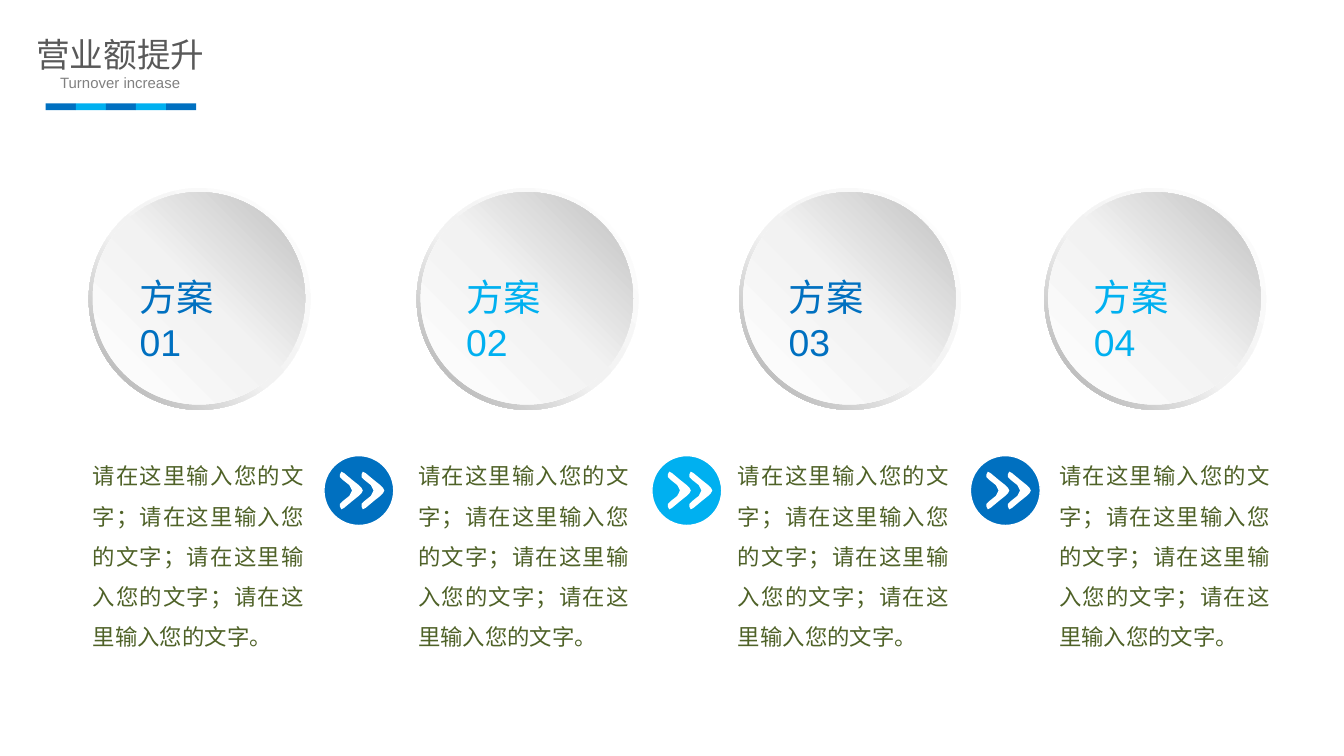
from copy import deepcopy

from pptx import Presentation
from pptx.dml.color import RGBColor
from pptx.enum.shapes import MSO_SHAPE
from pptx.enum.text import MSO_ANCHOR, MSO_AUTO_SIZE, PP_ALIGN
from pptx.oxml.ns import qn
from pptx.util import Inches, Pt

OVAL, RING, RECT = MSO_SHAPE.OVAL, MSO_SHAPE.DONUT, MSO_SHAPE.RECTANGLE
TOP, NO_FIT = MSO_ANCHOR.TOP, MSO_AUTO_SIZE.NONE
LEFT, CENTER, JUSTIFY = PP_ALIGN.LEFT, PP_ALIGN.CENTER, PP_ALIGN.JUSTIFY

BLUE = RGBColor(0x00, 0x70, 0xC0)
SKY = RGBColor(0x00, 0xB0, 0xF0)
OLIVE = RGBColor(0x4F, 0x62, 0x28)
DARK = RGBColor(0x59, 0x59, 0x59)
GRAY = RGBColor(0x80, 0x80, 0x80)
WHITE = RGBColor(0xFF, 0xFF, 0xFF)
PALE = RGBColor(0xF2, 0xF2, 0xF2)
SILVER = RGBColor(0xBF, 0xBF, 0xBF)
STEEL = RGBColor(0xA6, 0xA6, 0xA6)

# Widescreen slide, 16 to 9
prs = Presentation()
prs.slide_width, prs.slide_height = Inches(10), Inches(10 * 9 / 16)
slide = prs.slides.add_slide(prs.slide_layouts[5])
shapes = slide.shapes


def write(box, text, size, color, align, pads, wrap=True, space=1.0):
    """Fill a text shape; pads are the left, top, right and bottom insets."""
    frame = box.text_frame
    frame.text = text
    look = {"word_wrap": wrap, "auto_size": NO_FIT, "vertical_anchor": TOP}
    sides = ("margin_left", "margin_top", "margin_right", "margin_bottom")
    look.update(zip(sides, map(Inches, pads)))
    for key, value in look.items():
        setattr(frame, key, value)
    para = frame.paragraphs[0]
    para.alignment, para.line_spacing = align, space
    for key, value in {"name": "Arial", "size": Pt(size)}.items():
        setattr(para.font, key, value)
    para.font.color.rgb = color


def paint(shape, fill, angle=0):
    """Fill with one colour, or with three (position, colour) stops."""
    shape.shadow.inherit = False
    shape.line.fill.background()
    if isinstance(fill, RGBColor):
        shape.fill.solid()
        shape.fill.fore_color.rgb = fill
        return
    shape.fill.gradient()
    shape.fill.gradient_angle = angle
    stops = shape._element.spPr.find(".//" + qn("a:gsLst"))
    stops.insert(1, deepcopy(stops[0]))
    for stop, (place, color) in zip(shape.fill.gradient_stops, fill):
        stop.position, stop.color.rgb = place, color


# Heading
title = shapes.title
title.left, title.top = Inches(0.19), Inches(0.21)
title.width, title.height = Inches(1.41), Inches(0.38)
write(title, "营业额提升", 18, DARK, CENTER, (0.07, 0.04, 0.07, 0.04), wrap=False)
box = shapes.add_textbox(Inches(-0.07), Inches(0.5), Inches(1.93), Inches(0.24))
write(box, "Turnover increase", 8, GRAY, CENTER, (0.1, 0.05, 0.1, 0.05))

# Stripe under the heading
STEP = 1.12 / 5
for i in range(5):
    bar = shapes.add_shape(RECT, Inches(0.34 + STEP * i), Inches(0.77),
                           Inches(STEP), Inches(0.05))
    paint(bar, (BLUE, SKY)[i % 2])

# Four plans: disc with label, and text below
NOTE = "；".join(["请在这里输入您的文字"] * 4) + "。"
PLANS = [(0.66, 0.94, 0.62), (3.1, 3.37, 3.04), (5.5, 5.77, 5.42), (7.77, 8.04, 7.81)]
for i, (x, label_x, note_x) in enumerate(PLANS):
    ring = shapes.add_shape(RING, Inches(x), Inches(1.4), Inches(1.65), Inches(1.65))
    ring.adjustments[0] = 0.05
    paint(ring, [(0, WHITE), (0.55, PALE), (1, STEEL)], angle=225)
    disc = shapes.add_shape(OVAL, Inches(x + 0.03), Inches(1.43),
                            Inches(1.58), Inches(1.58))
    paint(disc, [(0, WHITE), (0.51, PALE), (1, SILVER)], angle=45)
    # The wide right inset drops the number to the second line
    box = shapes.add_textbox(Inches(label_x), Inches(1.99), Inches(1.09), Inches(0.44))
    write(box, f"方案{i + 1:02}", 20, (BLUE, SKY)[i % 2], LEFT, (0.1, 0.05, 0.3, 0.05))
    box = shapes.add_textbox(Inches(note_x), Inches(3.3), Inches(1.71), Inches(1.59))
    write(box, NOTE, 12, OLIVE, JUSTIFY, (0.07, 0.04, 0.07, 0.04), space=1.5)

# Round arrow badges; the chevron is drawn in hundredths of an inch
UPPER = [(17, 14), (16, 12), (14, 10), (9, 6), (3, 1), (1, 0), (0, 2),
         (0, 4), (2, 6), (7, 10), (8, 12), (9, 14)]
LOWER = [(x, 28 - y) for x, y in UPPER[-2:0:-1]]
for i, x in enumerate((2.41, 4.85, 7.22)):
    badge = shapes.add_shape(OVAL, Inches(x), Inches(3.39), Inches(0.52), Inches(0.52))
    paint(badge, (BLUE, SKY)[i % 2])
    badge.line.color.rgb, badge.line.width = WHITE, Pt(0.75)
    for shift in (0.28, 0.12):
        pen = shapes.build_freeform(*UPPER[0], scale=Inches(0.01))
        pen.add_line_segments(UPPER[1:] + LOWER, close=True)
        paint(pen.convert_to_shape(Inches(x + shift), Inches(3.51)), WHITE)

prs.save("out.pptx")
